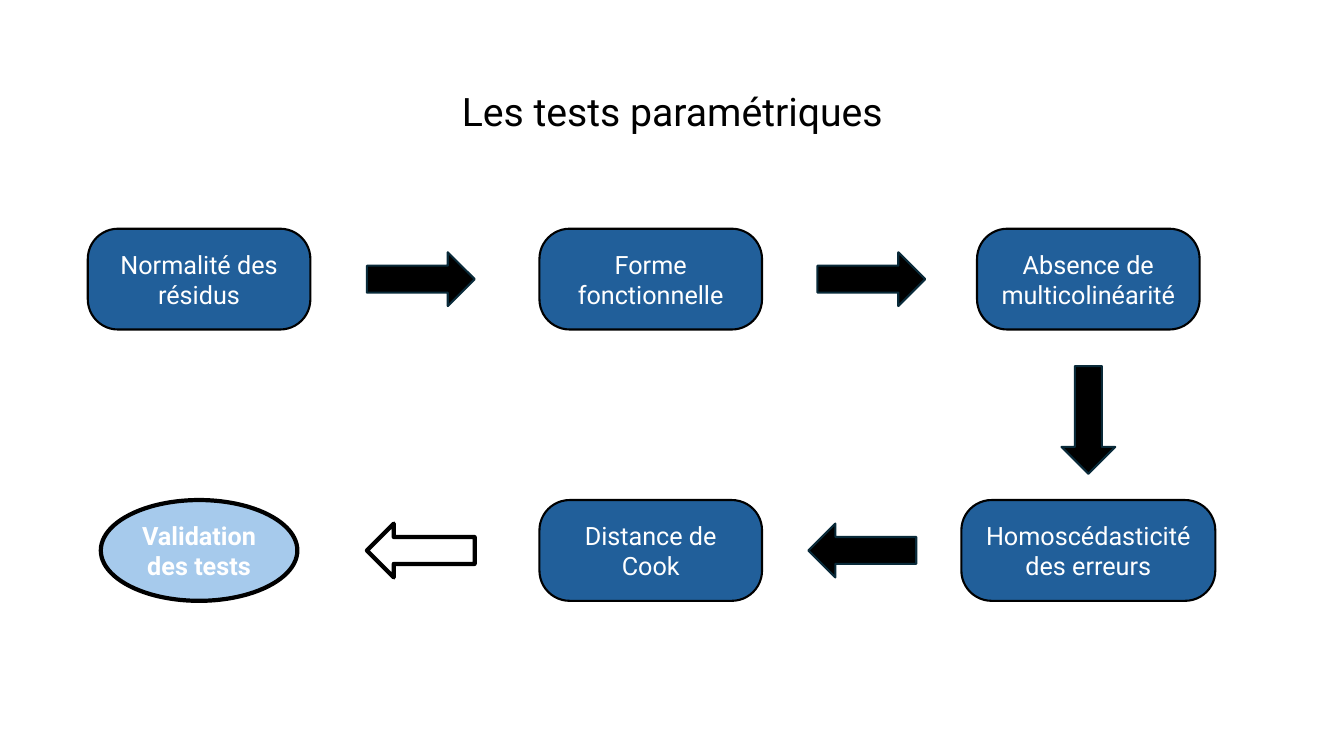
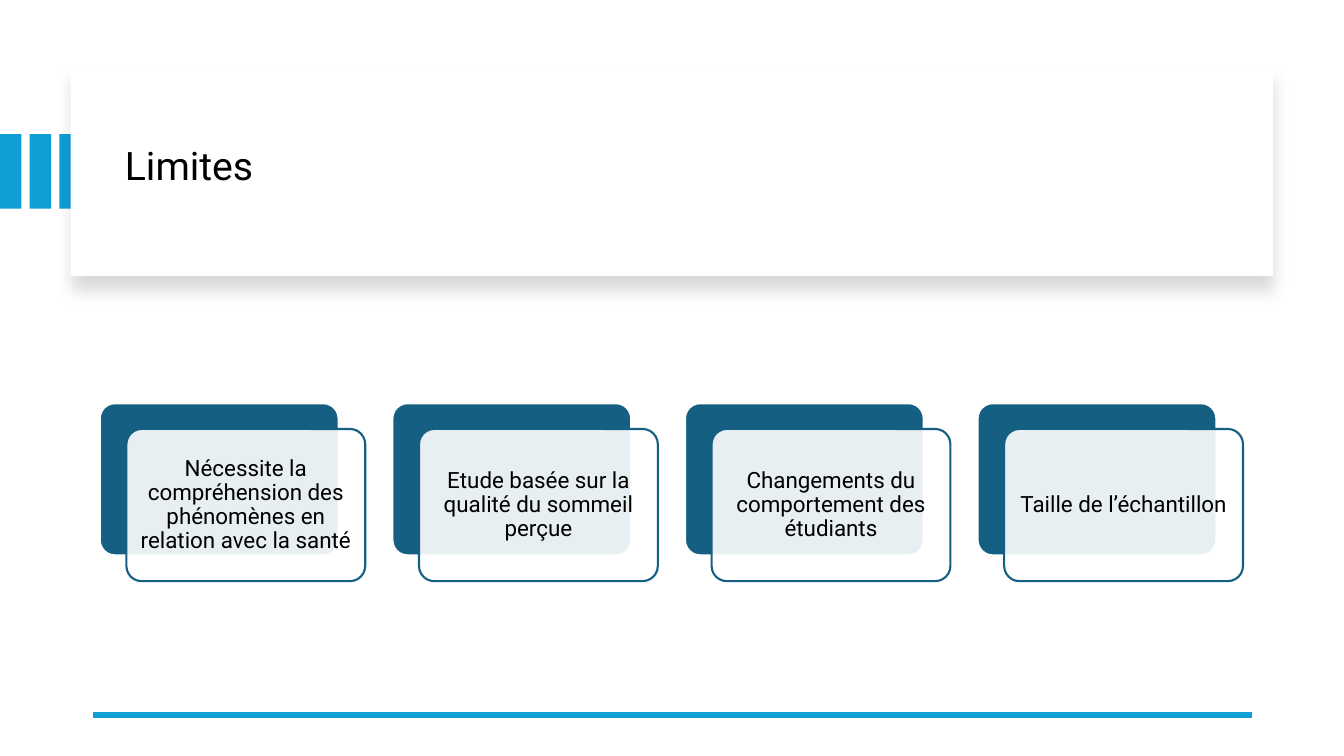
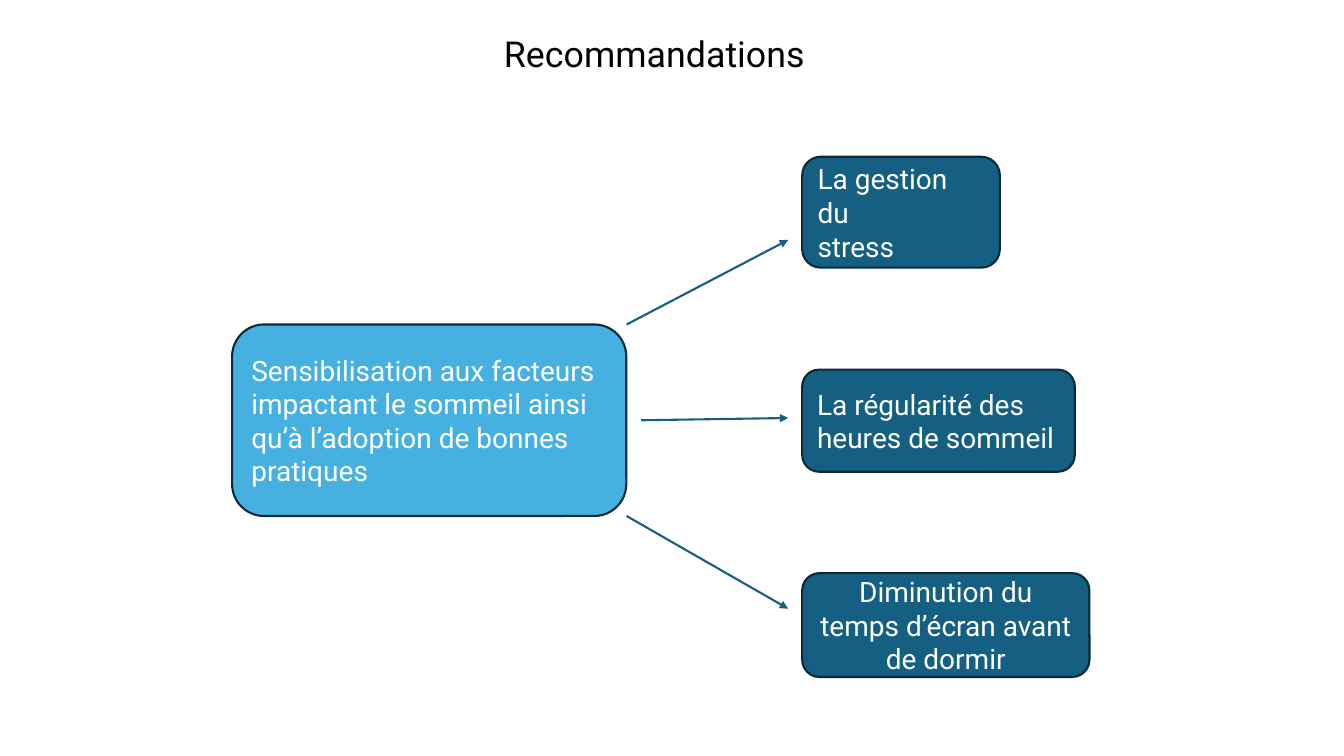
from lxml.etree import SubElement
from pptx import Presentation
from pptx.dml.color import RGBColor
from pptx.enum.shapes import MSO_CONNECTOR, MSO_SHAPE
from pptx.enum.text import MSO_ANCHOR, MSO_AUTO_SIZE, PP_ALIGN
from pptx.oxml.ns import qn
from pptx.util import Pt

COLORS = {
    "black": "000000",
    "white": "FFFFFF",
    "step": "215F9A",
    "result": "A6CAEC",
    "teal": "156082",
    "edge": "092A39",
    "accent": "0F9ED5",
    "sky": "46B1E1",
}
FONT = "Roboto"


def add_box(slide, kind, bounds, fill=None, line=None, line_width=1.5, text="",
            size=18, color="white", align=PP_ALIGN.CENTER, bold=False):
    box = slide.shapes.add_shape(kind, *map(Pt, bounds))
    box.shadow.inherit = False
    if fill:
        box.fill.solid()
        box.fill.fore_color.rgb = RGBColor.from_string(COLORS[fill])
    else:
        box.fill.background()
    if line:
        box.line.color.rgb = RGBColor.from_string(COLORS[line])
        box.line.width = Pt(line_width)
    else:
        box.line.fill.background()
    if text:
        frame = box.text_frame
        frame.text = text
        frame.word_wrap = True
        frame.vertical_anchor = MSO_ANCHOR.MIDDLE
        for paragraph in frame.paragraphs:
            paragraph.alignment = align
            for run in paragraph.runs:
                run.font.name = FONT
                run.font.size = Pt(size)
                run.font.bold = bold
                run.font.color.rgb = RGBColor.from_string(COLORS[color])
    return box


def add_line(slide, start, end, color, width):
    line = slide.shapes.add_connector(MSO_CONNECTOR.STRAIGHT, *map(Pt, start + end))
    line.line.color.rgb = RGBColor.from_string(COLORS[color])
    line.line.width = Pt(width)
    SubElement(line.element.spPr, qn("a:effectLst"))
    return line


prs = Presentation()
prs.slide_width = Pt(960)
prs.slide_height = Pt(540)

titles = [
    ("Les tests paramétriques", (66.2, 28.8, 828, 104.4), 28, PP_ALIGN.CENTER, MSO_ANCHOR.MIDDLE, 0.9),
    ("Limites", (82, 64, 801.4, 111.6), 28, PP_ALIGN.LEFT, MSO_ANCHOR.MIDDLE, 0.9),
    ("Recommandations", (352.8, 25.2, 440.6, 28.8), 25.5, PP_ALIGN.LEFT, MSO_ANCHOR.TOP, 0.8),
]
for text, bounds, size, align, anchor, spacing in titles:
    title = prs.slides.add_slide(prs.slide_layouts[5]).shapes.title
    title.left, title.top, title.width, title.height = map(Pt, bounds)
    frame = title.text_frame
    frame.text = text
    frame.auto_size = MSO_AUTO_SIZE.NONE
    frame.vertical_anchor = anchor
    heading = frame.paragraphs[0]
    heading.alignment = align
    heading.line_spacing = spacing
    font = heading.runs[0].font
    font.name = FONT
    font.size = Pt(size)
    font.color.rgb = RGBColor.from_string(COLORS["black"])

tests, limits, advice = prs.slides

columns = (142.2, 464.8, 777.4)
rows = (199.4, 393.2)
step_height = 72
steps = [
    ("Normalité des résidus", 0, 0, 159),
    ("Forme fonctionnelle", 1, 0, 159),
    ("Absence de multicolinéarité", 2, 0, 159),
    ("Homoscédasticité des erreurs", 2, 1, 181.4),
    ("Distance de Cook", 1, 1, 159),
]
for text, column, row, width in steps:
    bounds = (columns[column] - width / 2, rows[row] - step_height / 2, width, step_height)
    step = add_box(tests, MSO_SHAPE.ROUNDED_RECTANGLE, bounds, "step", "black", text=text)
    step.adjustments[0] = 0.3

add_box(tests, MSO_SHAPE.OVAL, (columns[0] - 70.2, rows[1] - step_height / 2, 140.4, step_height),
        "result", "black", 3, "Validation des tests", bold=True)

arrow_length, arrow_width = 77, 38.4
across = (arrow_length, arrow_width)
down = (arrow_width, arrow_length)
arrows = [
    (MSO_SHAPE.RIGHT_ARROW, 300.6, rows[0], across, "black", "edge", 1.5),
    (MSO_SHAPE.RIGHT_ARROW, 622.4, rows[0], across, "black", "edge", 1.5),
    (MSO_SHAPE.DOWN_ARROW, columns[2], 300, down, "black", "edge", 1.5),
    (MSO_SHAPE.LEFT_ARROW, 616, rows[1], across, "black", "edge", 1.5),
    (MSO_SHAPE.LEFT_ARROW, 300.6, rows[1], across, None, "black", 3),
]
for kind, x, y, (width, height), fill, line, line_width in arrows:
    add_box(tests, kind, (x - width / 2, y - height / 2, width, height), fill, line, line_width)

for stripe in range(3):
    add_box(limits, MSO_SHAPE.RECTANGLE, (stripe * 21.2, 95.8, 15.3, 53.3), "accent")

panel = add_box(limits, MSO_SHAPE.RECTANGLE, (50.4, 48.2, 859, 149), "white")
effects = panel.element.spPr.find(qn("a:effectLst"))
shadow = SubElement(effects, qn("a:outerShdw"), blurRad=str(Pt(11)), dist=str(Pt(10)),
                    dir="5400000", algn="t", rotWithShape="0")
shade = SubElement(shadow, qn("a:srgbClr"), val=COLORS["black"])
SubElement(shade, qn("a:alpha"), val="15000")
limits.shapes.element.append(limits.shapes.title.element)

add_line(limits, (894.2, 510.5), (66.2, 510.5), "accent", 4.5)

limitations = [
    "Nécessite la compréhension des phénomènes en relation avec la santé",
    "Etude basée sur la qualité du sommeil perçue",
    "Changements du comportement des étudiants",
    "Taille de l’échantillon",
]
card_width, card_height, card_pitch = 170.6, 108.7, 209
for index, text in enumerate(limitations):
    x = 71.3 + index * card_pitch
    back = add_box(limits, MSO_SHAPE.ROUNDED_RECTANGLE, (x, 288, card_width, card_height), "teal", "white")
    front = add_box(limits, MSO_SHAPE.ROUNDED_RECTANGLE, (x + 19, 306.4, card_width, card_height),
                    "white", "teal", text=text, size=16, color="black")
    for card in (back, front):
        card.adjustments[0] = 0.1
    veil = front.element.spPr.find(qn("a:solidFill")).find(qn("a:srgbClr"))
    SubElement(veil, qn("a:alpha"), val="90000")
    frame = front.text_frame
    frame.margin_left = frame.margin_right = frame.margin_top = frame.margin_bottom = Pt(5)
    frame.paragraphs[0].line_spacing = 0.9

practices = [
    ("Sensibilisation aux facteurs impactant le sommeil ainsi qu’à l’adoption de bonnes pratiques",
     (165.8, 231.8, 281.6, 136.8), "sky", PP_ALIGN.LEFT),
    ("La gestion du\nstress", (573, 112, 141.2, 79.2), "teal", PP_ALIGN.LEFT),
    ("La régularité des\nheures de sommeil", (573, 264, 194.8, 73), "teal", PP_ALIGN.LEFT),
    ("Diminution du temps d’écran avant de dormir", (573, 409.4, 205.2, 74.2), "teal", PP_ALIGN.CENTER),
]
for text, bounds, fill, align in practices:
    add_box(advice, MSO_SHAPE.ROUNDED_RECTANGLE, bounds, fill, "edge", text=text, size=20, align=align)

for start, end_y in (((447.6, 231.8), 171.4), ((458, 300.2), 298.6), ((447.6, 368.6), 434.8)):
    link = add_line(advice, start, (563, end_y), "teal", 1.5)
    SubElement(link.line._get_or_add_ln(), qn("a:tailEnd"), type="triangle")

prs.save("out.pptx")
